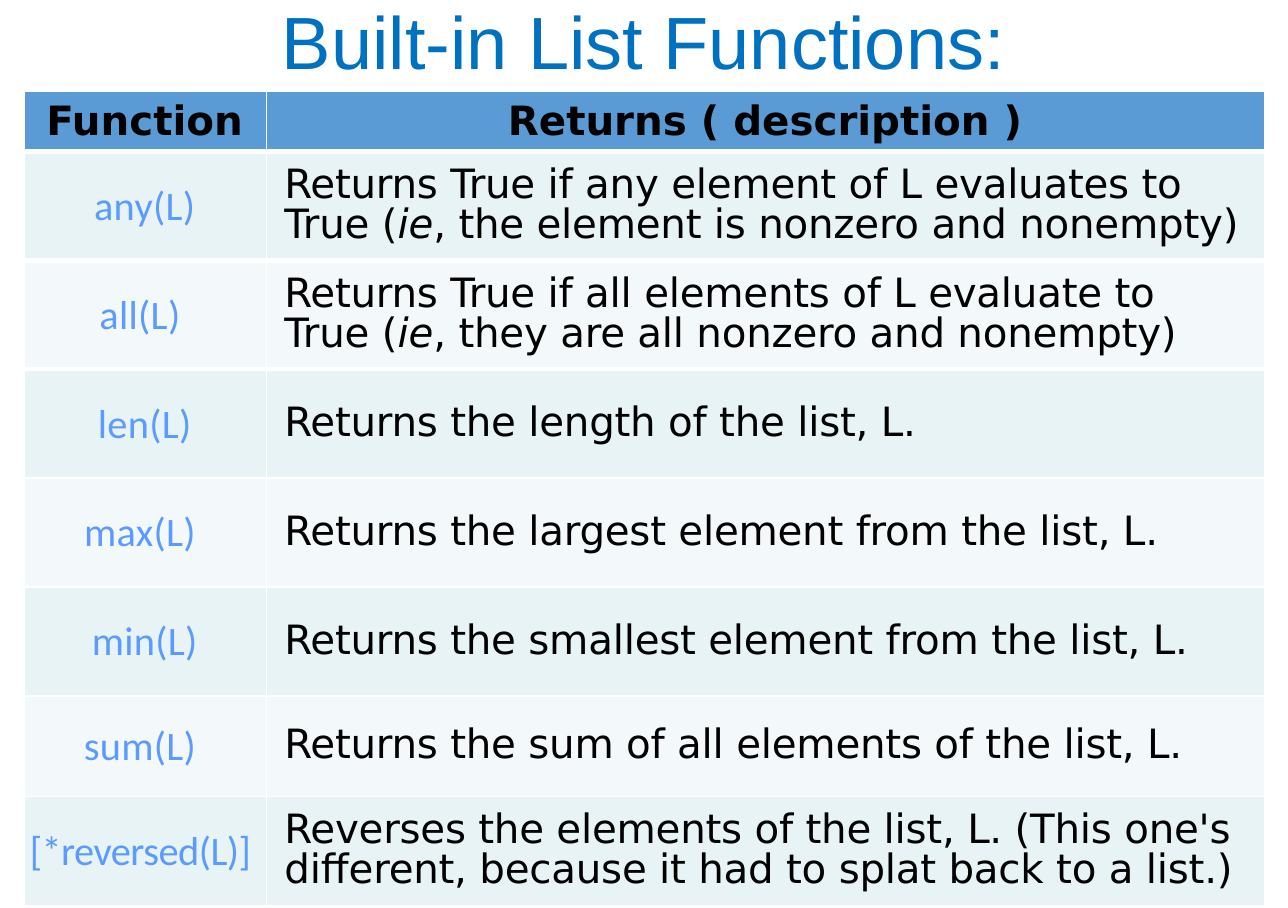
from dataclasses import dataclass

from lxml.etree import SubElement
from pptx import Presentation
from pptx.dml.color import RGBColor
from pptx.enum.text import MSO_ANCHOR, PP_ALIGN
from pptx.oxml.ns import qn
from pptx.util import Inches, Pt


@dataclass(frozen=True)
class Theme:
    title_font: str = "Arial"
    code_font: str = "Calibri"
    body_font: str = "DejaVu Sans"
    title_size: int = 44
    table_size: int = 24
    title: str = "0070C0"
    code: str = "5B9BFF"
    text: str = "000000"
    header: str = "5B9BD5"
    bands: tuple = ("E7F3F4", "F3F9FA")
    rule: str = "FFFFFF"


theme = Theme()

HEADINGS = ("Function", "Returns ( description )")
# Underscores enclose italics; a newline is a line break.
FUNCTIONS = (
    ("any(L)", "Returns True if any element of L evaluates to True "
               "(_ie_, the element is nonzero and nonempty)"),
    ("all(L) ", "Returns True if all elements of L evaluate to\nTrue "
                "(_ie_, they are all nonzero and nonempty)"),
    ("len(L)", "Returns the length of the list, L."),
    ("max(L) ", "Returns the largest element from the list, L."),
    ("min(L)", "Returns the smallest element from the list, L."),
    ("sum(L) ", "Returns the sum of all elements of the list, L."),
    ("[*reversed(L)] ", "Reverses the elements of the list, L. (This one's "
                        "different, because it had to splat back to a list.)"),
)
COLUMNS = (2, 8.25)
ROWS = (0.5, 0.9, 0.9, 0.9, 0.9, 0.9, 0.83, 0.9)
THICK_RULES = 3  # rules below the header and the first two functions


def write(para, text, font, size, color, bold=False, tracking=0):
    """Fill a paragraph; tracking is in hundredths of a point."""
    para.font.name, para.font.size, para.font.bold = font, Pt(size), bold
    para.font.color.rgb = RGBColor.from_string(color)
    for part_index, part in enumerate(text.split("_")):
        for line_index, line in enumerate(part.split("\n")):
            if line_index:
                para.add_line_break()
            span = para.add_run()
            span.text = line
            if part_index % 2:
                span.font.italic = True
            if tracking:
                span._r.get_or_add_rPr().set("spc", str(tracking))


def style_cell(cell, fill, top, bottom, left_inset):
    """Set fill, insets and white borders; top and bottom are points."""
    cell.vertical_anchor = MSO_ANCHOR.MIDDLE
    cell.margin_left = Inches(left_inset)
    cell.margin_top = cell.margin_right = Inches(0.01)
    cell.margin_bottom = 0
    properties = cell._tc.get_or_add_tcPr()
    for side, width in (("L", 1), ("R", 1), ("T", top), ("B", bottom)):
        border = SubElement(properties, qn(f"a:ln{side}"), w=str(Pt(width)))
        paint = SubElement(border, qn("a:solidFill"))
        SubElement(paint, qn("a:srgbClr"), val=theme.rule)
    cell.fill.solid()
    cell.fill.fore_color.rgb = RGBColor.from_string(fill)


deck = Presentation()
deck.slide_width, deck.slide_height = Inches(10.64), Inches(7.5)
page = deck.slides.add_slide(deck.slide_layouts[6])

# Function table
frame = page.shapes.add_table(len(ROWS), len(COLUMNS), Inches(0.2), Inches(0.75),
                              Inches(sum(COLUMNS)), Inches(sum(ROWS)))
table = frame.table
for column, width in zip(table.columns, COLUMNS):
    column.width = Inches(width)

for row_index, entry in enumerate((HEADINGS, *FUNCTIONS)):
    table.rows[row_index].height = Inches(ROWS[row_index])
    is_header = row_index == 0
    fill = theme.header if is_header else theme.bands[(row_index - 1) % 2]
    top = 3 if 0 < row_index <= THICK_RULES else 1
    bottom = 3 if row_index < THICK_RULES else 1
    for column_index, text in enumerate(entry):
        cell = table.cell(row_index, column_index)
        is_description = column_index == 1 and not is_header
        style_cell(cell, fill, top, bottom, 0.15 if is_description else 0)
        para = cell.text_frame.paragraphs[0]
        if is_description:
            para.line_spacing = 0.85
            write(para, text, theme.body_font, theme.table_size, theme.text, tracking=-13)
            continue
        para.alignment = PP_ALIGN.CENTER
        if is_header:
            write(para, text, theme.body_font, theme.table_size, theme.text, bold=True)
        else:
            tracking = -30 if text.startswith("[") else 20
            write(para, text, theme.code_font, theme.table_size, theme.code, tracking=tracking)

# Title
box = page.shapes.add_textbox(Inches(0.07), 0, Inches(10.5), Inches(0.75))
box.text_frame.word_wrap = True
box.text_frame.vertical_anchor = MSO_ANCHOR.MIDDLE
para = box.text_frame.paragraphs[0]
para.alignment = PP_ALIGN.CENTER
para.line_spacing = 0.9
write(para, "Built-in List Functions:", theme.title_font, theme.title_size, theme.title)

deck.save("out.pptx")
